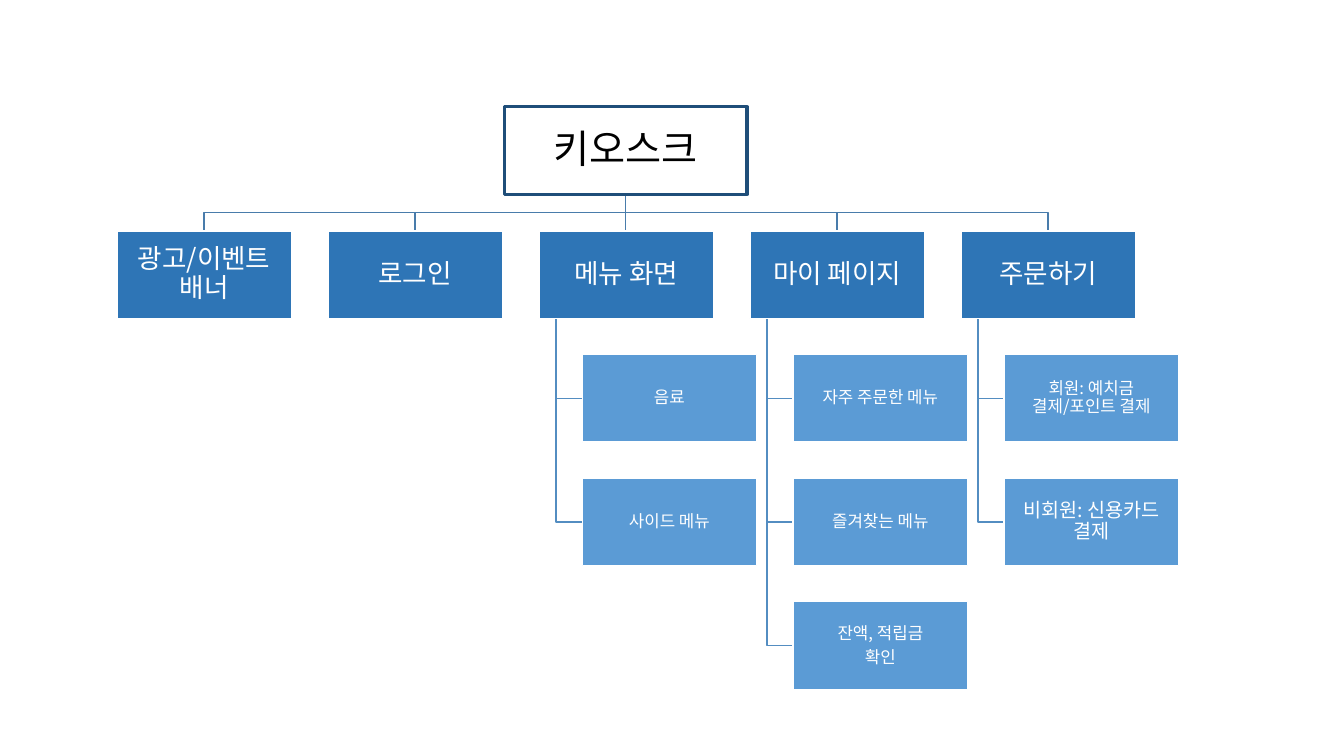
from lxml import etree
from pptx import Presentation
from pptx.dml.color import RGBColor
from pptx.enum import shapes, text
from pptx.oxml.ns import qn
from pptx.util import Inches, Pt

FONT = "Noto Sans CJK KR"
COLORS = {
    "white": "FFFFFF", "black": "000000", "root_edge": "1F4E79",
    "menu": "2E75B6", "item": "5B9BD5",
    "menu_link": "497CAB", "item_link": "538DC1",
}
BOX_W, BOX_H = 1.73, 0.87
ROOT_X, ROOT_Y, ROOT_W = 5.0, 1.06, 2.41
MENU_X, MENU_Y = 1.16, 2.29
COLUMN_STEP, ROW_STEP = 8.37 / 4, 3.68 / 3
ITEM_INDENT, TRUNK_INDENT = 0.43, 0.17

# Each menu: label, then its items as (label, text size)
MENUS = [
    ("광고/이벤트 배너", []),
    ("로그인", []),
    ("메뉴 화면", [("음료", 12), ("사이드 메뉴", 12)]),
    ("마이 페이지", [("자주 주문한 메뉴", 12), ("즐겨찾는 메뉴", 12),
                ("잔액, 적립금\n확인", 12)]),
    ("주문하기", [("회원: 예치금 결제/포인트 결제", 12),
              ("비회원: 신용카드 결제", 14)]),
]

prs = Presentation()
prs.slide_width, prs.slide_height = Inches(13.33), Inches(7.5)
slide = prs.slides.add_slide(prs.slide_layouts[6])


def add_link(points, color):
    """Draw an open line through the points, given in inches."""
    corners = [(Inches(x), Inches(y)) for x, y in points]
    if len(corners) == 2:
        link = slide.shapes.add_connector(
            shapes.MSO_CONNECTOR.STRAIGHT, *corners[0], *corners[1])
        etree.SubElement(link._element.spPr, qn("a:effectLst"))
    else:
        builder = slide.shapes.build_freeform(*corners[0])
        builder.add_line_segments(corners[1:], close=False)
        link = builder.convert_to_shape()
        link.fill.background()
        link.shadow.inherit = False
    link.line.color.rgb = RGBColor.from_string(COLORS[color])
    link.line.width = Pt(1)


def add_box(label, x, y, width, size, fill, edge="white", edge_width=1,
            ink="white", inset=0.01):
    box = slide.shapes.add_shape(
        shapes.MSO_SHAPE.RECTANGLE,
        Inches(x), Inches(y), Inches(width), Inches(BOX_H))
    box.shadow.inherit = False
    box.fill.solid()
    box.fill.fore_color.rgb = RGBColor.from_string(COLORS[fill])
    box.line.color.rgb = RGBColor.from_string(COLORS[edge])
    box.line.width = Pt(edge_width)
    frame = box.text_frame
    frame.word_wrap = True
    frame.vertical_anchor = text.MSO_ANCHOR.MIDDLE
    frame.margin_left = frame.margin_right = Inches(inset)
    frame.margin_top = frame.margin_bottom = Inches(inset)
    frame.text = label
    for paragraph in frame.paragraphs:
        paragraph.alignment = text.PP_ALIGN.CENTER
        paragraph.line_spacing = 0.9
        paragraph.space_after = Pt(0.35 * size)
        paragraph.font.size = Pt(size)
        paragraph.font.color.rgb = RGBColor.from_string(COLORS[ink])
        paragraph.font.name = FONT
        # Hangul takes the East Asian typeface
        defaults = paragraph._p.pPr.find(qn("a:defRPr"))
        etree.SubElement(defaults, qn("a:ea"), typeface=FONT)


# Links lie behind the boxes
root_center, root_bottom = ROOT_X + ROOT_W / 2, ROOT_Y + BOX_H
branch_y = (root_bottom + MENU_Y) / 2
for column, (menu, items) in enumerate(MENUS):
    menu_x = MENU_X + column * COLUMN_STEP
    menu_center = menu_x + BOX_W / 2
    if abs(menu_center - root_center) < 0.02:
        route = [(root_center, root_bottom), (root_center, MENU_Y)]
    else:
        route = [(root_center, root_bottom), (root_center, branch_y),
                 (menu_center, branch_y), (menu_center, MENU_Y)]
    add_link(route, "menu_link")
    trunk_x = menu_x + TRUNK_INDENT
    for row in range(1, len(items) + 1):
        item_middle = MENU_Y + row * ROW_STEP + BOX_H / 2
        add_link([(trunk_x, MENU_Y + BOX_H), (trunk_x, item_middle),
                  (menu_x + ITEM_INDENT, item_middle)], "item_link")

add_box("키오스크", ROOT_X, ROOT_Y, ROOT_W, 28, "white",
        edge="root_edge", edge_width=2.25, ink="black", inset=0.02)
for column, (menu, items) in enumerate(MENUS):
    menu_x = MENU_X + column * COLUMN_STEP
    add_box(menu, menu_x, MENU_Y, BOX_W, 19, "menu")
    for row, (item, size) in enumerate(items, start=1):
        add_box(item, menu_x + ITEM_INDENT, MENU_Y + row * ROW_STEP,
                BOX_W, size, "item")

prs.save("out.pptx")
